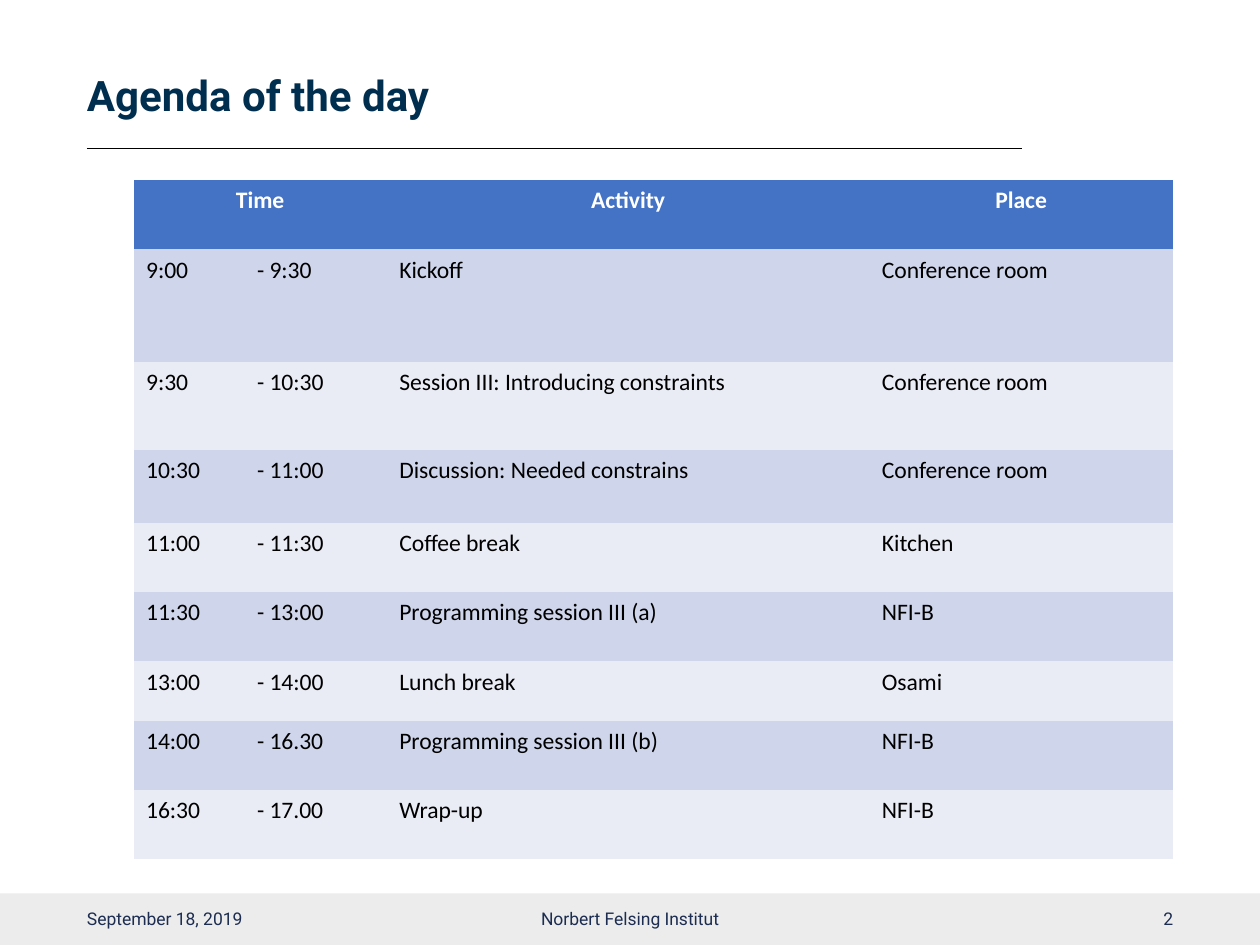
from lxml import etree
from pptx import Presentation
from pptx.dml.color import RGBColor
from pptx.enum.shapes import MSO_CONNECTOR, MSO_SHAPE
from pptx.enum.text import MSO_ANCHOR, PP_ALIGN
from pptx.oxml.ns import qn
from pptx.util import Inches, Pt

LEFT, CENTER, RIGHT = PP_ALIGN.LEFT, PP_ALIGN.CENTER, PP_ALIGN.RIGHT
MIDDLE, TOP = MSO_ANCHOR.MIDDLE, MSO_ANCHOR.TOP
RECTANGLE, STRAIGHT = MSO_SHAPE.RECTANGLE, MSO_CONNECTOR.STRAIGHT
WHITE = RGBColor(0xFF, 0xFF, 0xFF)
BLACK = RGBColor(0, 0, 0)
NAVY = RGBColor(0x00, 0x2E, 0x4F)
FOOTER_BLUE = RGBColor(0x1C, 0x2D, 0x51)
FOOTER_GRAY = RGBColor(0xEC, 0xEC, 0xEC)
HEADER_BLUE = RGBColor(0x44, 0x72, 0xC4)
BANDS = (RGBColor(0xE9, 0xEB, 0xF5), RGBColor(0xCF, 0xD5, 0xEA))
PLAIN_TABLE_STYLE = "{2D5ABB26-0587-4C30-8999-92F81FD0307C}"

TITLE_FONT = {"name": "Roboto", "size": Pt(24), "bold": True}
FOOTER_FONT = {"name": "Roboto", "size": Pt(10), "bold": False}
HEADER_FONT = {"name": "Calibri", "size": Pt(13.5), "bold": True}
BODY_FONT = {**HEADER_FONT, "bold": False}

MARGIN = 0.69
COLUMN_WIDTHS = (0.88, 1.13, 3.83, 2.41)
ROW_HEIGHTS = (0.55, 0.89, 0.7, 0.58, 0.55, 0.55, 0.47, 0.55, 0.55)
AGENDA = (
    ("Time", "", "Activity", "Place"),
    ("9:00", "- 9:30", "Kickoff", "Conference room"),
    ("9:30", "- 10:30", "Session III: Introducing constraints", "Conference room"),
    ("10:30", "- 11:00", "Discussion: Needed constrains", "Conference room"),
    ("11:00", "- 11:30", "Coffee break", "Kitchen"),
    ("11:30", "- 13:00", "Programming session III (a)", "NFI-B"),
    ("13:00", "- 14:00", "Lunch break", "Osami"),
    ("14:00", "- 16.30", "Programming session III (b)", "NFI-B"),
    ("16:30", "- 17.00", "Wrap-up", "NFI-B"),
)
FOOTERS = (
    ("September 18, 2019", MARGIN, 2.25, LEFT, 0, 0.1),
    ("Norbert Felsing Institut", 3.31, 3.38, CENTER, 0.1, 0.1),
    ("2", 7.06, 2.25, RIGHT, 0, 0),
)


def apply(target, values):
    for name, value in values.items():
        setattr(target, name, value)


def write(frame, text, font, color, align=LEFT):
    para = frame.paragraphs[0]
    para.alignment = align
    span = para.add_run()
    span.text = text
    apply(span.font, font)
    span.font.color.rgb = color
    return para


def add_footer_bar(page):
    bar = page.shapes.add_shape(RECTANGLE, 0, Inches(7.09), Inches(10), Inches(0.41))
    bar.shadow.inherit = False
    bar.fill.solid()
    bar.fill.fore_color.rgb = FOOTER_GRAY
    bar.line.fill.background()


def add_title_rule(page):
    rule = page.shapes.add_connector(
        STRAIGHT, Inches(MARGIN), Inches(1.18), Inches(8.11), Inches(1.18))
    rule.line.color.rgb = BLACK
    rule.line.width = Pt(0.5)
    etree.SubElement(rule._element.spPr, qn("a:effectLst"))


def fill_title(page, text):
    title = page.shapes.title
    apply(title, {"left": Inches(MARGIN), "top": Inches(0.38),
                  "width": Inches(7.43), "height": Inches(0.8)})
    frame = title.text_frame
    apply(frame, {"margin_left": 0, "vertical_anchor": MIDDLE, "word_wrap": True})
    write(frame, text, TITLE_FONT, NAVY).line_spacing = 0.9


def add_footer(page, text, left, width, align, inset_left, inset_right):
    box = page.shapes.add_textbox(Inches(left), Inches(7.09), Inches(width), Inches(0.4))
    frame = box.text_frame
    apply(frame, {"word_wrap": True, "vertical_anchor": MIDDLE,
                  "margin_left": Inches(inset_left), "margin_right": Inches(inset_right)})
    write(frame, text, FOOTER_FONT, FOOTER_BLUE, align)


def add_agenda(page):
    holder = page.shapes.add_table(
        len(AGENDA), len(COLUMN_WIDTHS), Inches(1.06), Inches(1.43),
        Inches(sum(COLUMN_WIDTHS)), Inches(sum(ROW_HEIGHTS)))
    table = holder.table
    table._tbl.tblPr.find(qn("a:tableStyleId")).text = PLAIN_TABLE_STYLE
    for column, width in zip(table.columns, COLUMN_WIDTHS):
        column.width = Inches(width)
    for row, height in zip(table.rows, ROW_HEIGHTS):
        row.height = Inches(height)
    table.cell(0, 0).merge(table.cell(0, 1))
    for row_index, entries in enumerate(AGENDA):
        header = row_index == 0
        for column_index, text in enumerate(entries):
            cell = table.cell(row_index, column_index)
            cell.vertical_anchor = TOP
            cell.fill.solid()
            cell.fill.fore_color.rgb = HEADER_BLUE if header else BANDS[row_index % 2]
            if not text:
                continue
            if header:
                write(cell.text_frame, text, HEADER_FONT, WHITE, CENTER)
            else:
                write(cell.text_frame, text, BODY_FONT, BLACK)


def main():
    deck = Presentation()
    deck.slide_width, deck.slide_height = Inches(10), Inches(7.5)
    page = deck.slides.add_slide(deck.slide_layouts[5])
    add_footer_bar(page)
    add_title_rule(page)
    fill_title(page, "Agenda of the day")
    for footer in FOOTERS:
        add_footer(page, *footer)
    add_agenda(page)
    deck.save("out.pptx")


main()
